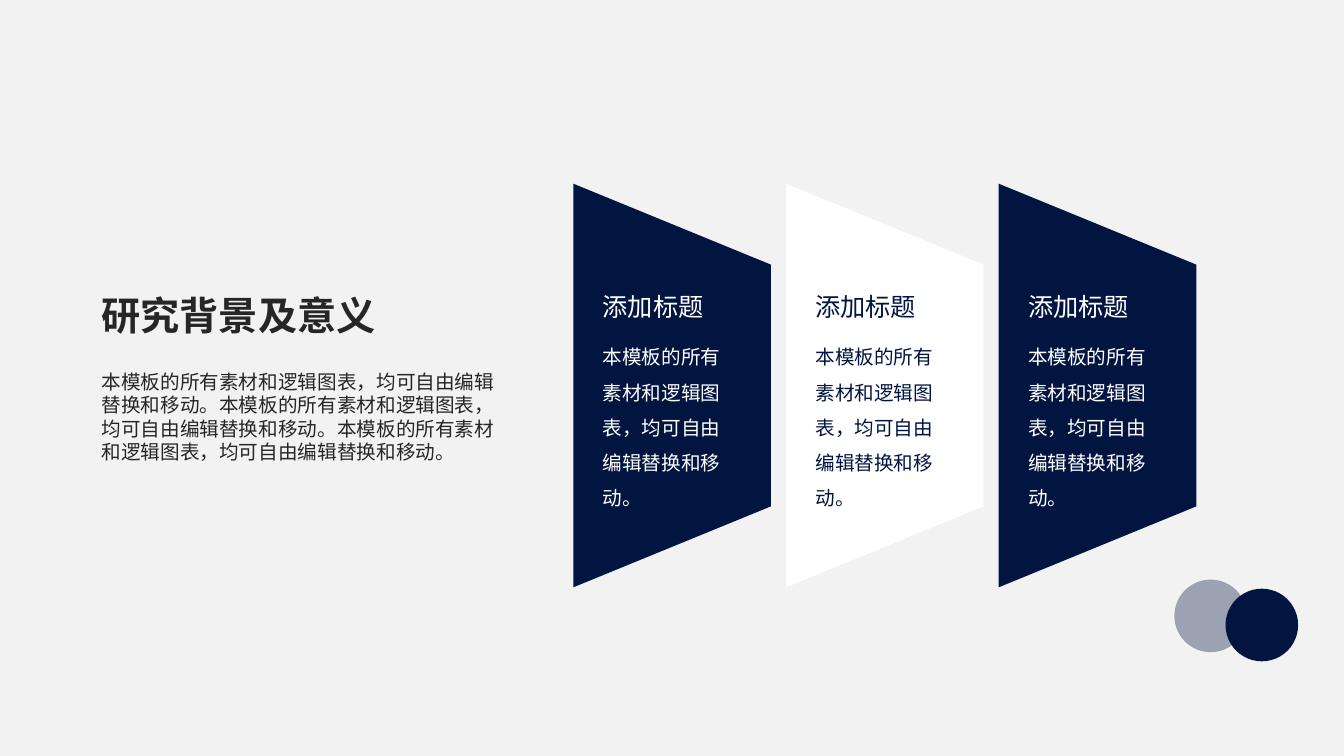
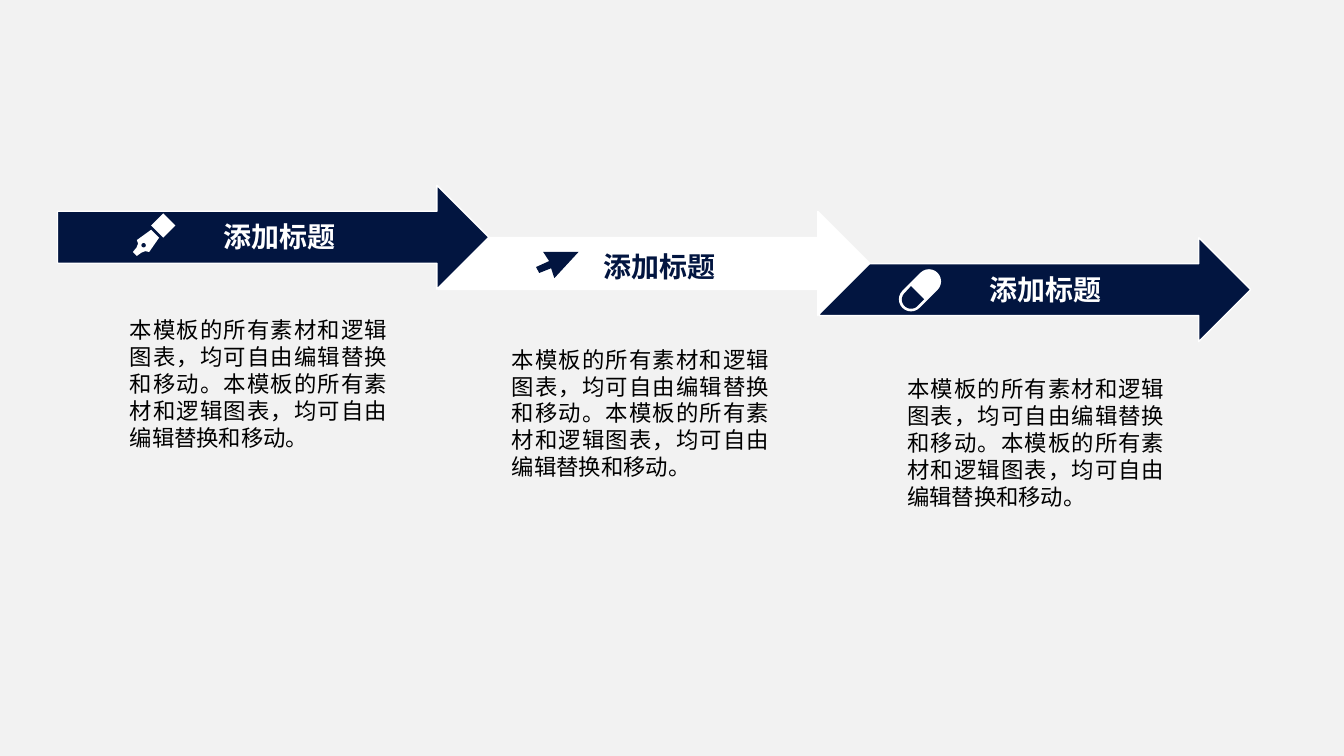
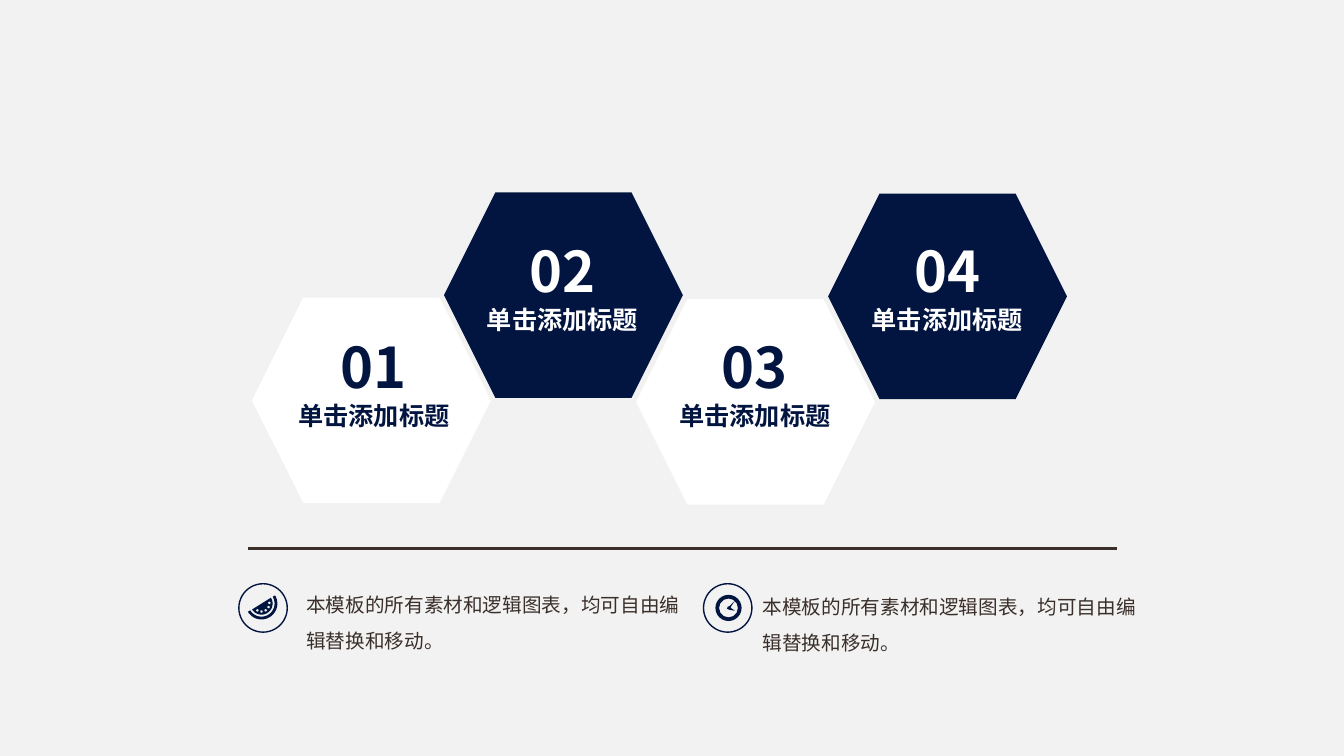
from math import cos, radians, sin

from pptx import Presentation
from pptx.dml.color import RGBColor
from pptx.enum.lang import MSO_LANGUAGE_ID as Language
from pptx.enum.shapes import MSO_CONNECTOR as Connector, MSO_SHAPE as Shape
from pptx.enum.text import MSO_AUTO_SIZE as AutoSize, PP_ALIGN as Align
from pptx.oxml.ns import qn
from pptx.util import Cm, Pt
from lxml.etree import SubElement

# Shared look
NAVY = RGBColor(0x02, 0x15, 0x40)
WHITE = RGBColor(0xFF, 0xFF, 0xFF)
PAPER = RGBColor(0xF2, 0xF2, 0xF2)
CHARCOAL = RGBColor(0x26, 0x26, 0x26)
BROWN = RGBColor(0x3A, 0x2F, 0x2A)
BLACK = RGBColor(0, 0, 0)
LATIN, CHINESE = "Calibri", "Noto Sans CJK SC"

HEADING = "添加标题"
SENTENCE = "本模板的所有素材和逻辑图表，均可自由编辑替换和移动。"


# Element helpers, all lengths in centimetres
def paint(shape, fill=None, line=None, width=1):
    shape.shadow.inherit = False
    if fill is None:
        shape.fill.background()
    else:
        shape.fill.solid()
        shape.fill.fore_color.rgb = fill
    if line is None:
        shape.line.fill.background()
    else:
        shape.line.color.rgb = line
        shape.line.width = Pt(width)
    return shape


def add_preset(page, kind, left, top, width, height, **look):
    shape = page.shapes.add_shape(kind, Cm(left), Cm(top), Cm(width), Cm(height))
    return paint(shape, **look)


def add_outline(page, points, fill):
    corners = [(Cm(x), Cm(y)) for x, y in points]
    builder = page.shapes.build_freeform(*corners[0])
    builder.add_line_segments(corners[1:], close=True)
    return paint(builder.convert_to_shape(), fill)


def add_dot(page, x, y, size, fill):
    return add_preset(page, Shape.OVAL, x - size / 2, y - size / 2, size, size, fill=fill)


def arc(x, y, radius, start, end, steps=24):
    angles = [radians(start + (end - start) * i / steps) for i in range(steps + 1)]
    return [(x + radius * cos(a), y + radius * sin(a)) for a in angles]


def set_transparent(shape, opacity):
    color = shape._element.spPr.find(".//" + qn("a:srgbClr"))
    SubElement(color, qn("a:alpha")).set("val", str(opacity * 1000))


def add_text(page, left, top, width, height, lines, color, font=LATIN,
             bold=False, wrap=True, **layout):
    """Lines are (text, size) pairs, one paragraph each."""
    box = page.shapes.add_textbox(Cm(left), Cm(top), Cm(width), Cm(height))
    frame = box.text_frame
    frame.word_wrap = wrap
    frame.auto_size = AutoSize.SHAPE_TO_FIT_TEXT
    for index, (text, size) in enumerate(lines):
        para = frame.paragraphs[0] if index == 0 else frame.add_paragraph()
        for name, value in layout.items():
            setattr(para, name, value)
        span = para.add_run()
        span.text = text
        look = {"name": font, "size": Pt(size), "bold": bold,
                "language_id": Language.SIMPLIFIED_CHINESE}
        for name, value in look.items():
            setattr(span.font, name, value)
        span.font.color.rgb = color
        SubElement(span.font._element, qn("a:ea")).set("typeface", CHINESE)


def add_rule(page, left, right, y, color, width):
    rule = page.shapes.add_connector(Connector.STRAIGHT, Cm(left), Cm(y), Cm(right), Cm(y))
    rule.line.color.rgb = color
    rule.line.width = Pt(width)
    SubElement(rule._element.spPr, qn("a:effectLst"))


# Icons
def draw_pen(page):
    add_preset(page, Shape.DIAMOND, 3.81, 5.38, 0.61, 0.61, fill=WHITE)
    add_outline(page, [(3.45, 6.05), (3.48, 6.14), (3.44, 6.24), (3.35, 6.35),
                       (3.45, 6.45), (3.56, 6.37), (3.66, 6.33), (3.76, 6.35),
                       (4.01, 5.99), (3.81, 5.79)], WHITE)
    add_dot(page, 3.62, 6.18, 0.11, NAVY)


def draw_pointer(page):
    add_outline(page, [(13.97, 7.01), (14.58, 6.35), (13.69, 6.35), (13.84, 6.58),
                       (13.51, 6.73), (13.59, 6.88), (13.89, 6.76)], NAVY)


def draw_pill(page):
    pill = add_preset(page, Shape.ROUNDED_RECTANGLE, 22.56, 7.01, 1.25, 0.61, fill=WHITE)
    pill.adjustments[0] = 0.5
    pill.rotation = 315
    hollow = arc(22.96, 7.55, 0.23, 45, 225)
    add_outline(page, hollow + [(22.96, 7.21), (23.29, 7.54)], NAVY)


def draw_melon(page):
    x, y = 6.59, 15.21
    add_outline(page, arc(x, y, 0.28, -32, 148), NAVY)
    add_outline(page, arc(x, y, 0.4, -31, 149) + arc(x, y, 0.33, 149, -31), NAVY)
    for seed in arc(x, y, 0.2, -5, 121, steps=4):
        add_dot(page, *seed, 0.06, PAPER)


def draw_clock(page):
    dial = add_preset(page, Shape.DONUT, 18.03, 14.99, 0.66, 0.66, fill=NAVY)
    dial.adjustments[0] = 0.14
    add_outline(page, [(18.52, 15.14), (18.42, 15.29), (18.42, 15.32), (18.52, 15.39),
                       (18.39, 15.37), (18.32, 15.34), (18.34, 15.29), (18.39, 15.27)], NAVY)


# Slides
def build_background_page(page):
    top, height, width, slant, pitch = 4.63, 10.17, 4.98, 2.04, 5.36
    for index, (fill, ink) in enumerate([(NAVY, WHITE), (WHITE, NAVY), (NAVY, WHITE)]):
        left = 14.45 + index * pitch
        right, bottom = left + width, top + height
        add_outline(page, [(left, bottom), (left, top), (right, top + slant),
                           (right, bottom - slant)], fill)
        add_text(page, left + 0.49, 7.21, 3.07, 1.02, [(HEADING, 18)], ink, wrap=False)
        add_text(page, left + 0.49, 8.28, 3.91, 4.75, [(SENTENCE, 14)], ink, line_spacing=1.5)

    add_text(page, 2.31, 7.21, 9.04, 1.45, [("研究背景及意义", 28)], CHARCOAL, CHINESE, bold=True)
    add_text(page, 2.31, 9.19, 10.72, 2.64, [(SENTENCE * 3, 14)], CHARCOAL)

    add_dot(page, 31.8, 15.75, 1.83, NAVY)
    set_transparent(add_dot(page, 30.51, 15.52, 1.83, NAVY), 36)


def build_arrows_page(page):
    # Arrows descend to the right, the first one in front
    fills = [NAVY, WHITE, NAVY]
    for index in (2, 1, 0):
        add_preset(page, Shape.RIGHT_ARROW, 1.45 + index * 9.6, 4.67 + index * 0.66,
                   10.87, 2.62, fill=fills[index], line=WHITE)

    for draw_icon in (draw_pen, draw_pointer, draw_pill):
        draw_icon(page)

    steps = [(5.38, 5.41, WHITE, 3.02), (14.96, 6.15, NAVY, 12.65), (24.69, 6.73, WHITE, 22.61)]
    for index, (left, top, ink, body_left) in enumerate(steps):
        add_text(page, left, top, 3.35, 1.12, [(HEADING, 20)], ink, bold=True, wrap=False)
        add_text(page, body_left, 7.85 + index * 0.74, 6.99, 3.68, [(SENTENCE * 2, 16)],
                 BLACK, CHINESE, alignment=Align.JUSTIFY)


def build_hexagons_page(page):
    # Hexagon top, label left and top, fill, ink
    cells = [(7.5, 7.24, 8.26, WHITE, NAVY), (4.85, 11.99, 5.84, NAVY, WHITE),
             (7.54, 16.84, 8.26, WHITE, NAVY), (4.88, 21.69, 5.84, NAVY, WHITE)]
    for index, (top, label_left, label_top, fill, ink) in enumerate(cells):
        add_preset(page, Shape.HEXAGON, 6.35 + index * 4.84, top, 6.02, 5.18, fill=fill)
        add_text(page, label_left, label_top, 4.37, 2.74,
                 [(f"{index + 1:02}", 40), ("单击添加标题", 18)], ink, CHINESE,
                 bold=True, wrap=False, alignment=Align.CENTER)

    add_rule(page, 6.25, 28.14, 13.82, BROWN, 2.25)

    notes = [(draw_melon, 6.02, 7.47, 14.53), (draw_clock, 17.73, 18.97, 14.58)]
    for draw_icon, ring_left, left, top in notes:
        draw_icon(page)
        add_preset(page, Shape.OVAL, ring_left, 14.71, 1.22, 1.22, line=NAVY)
        add_text(page, left, top, 9.91, 1.96, [(SENTENCE, 14)], BROWN, CHINESE, line_spacing=1.5)


def main():
    deck = Presentation()
    deck.slide_width, deck.slide_height = Cm(33.87), Cm(19.05)
    backdrop = deck.slide_master.background.fill
    backdrop.solid()
    backdrop.fore_color.rgb = PAPER
    for build in (build_background_page, build_arrows_page, build_hexagons_page):
        build(deck.slides.add_slide(deck.slide_layouts[6]))
    deck.save("out.pptx")


if __name__ == "__main__":
    main()
